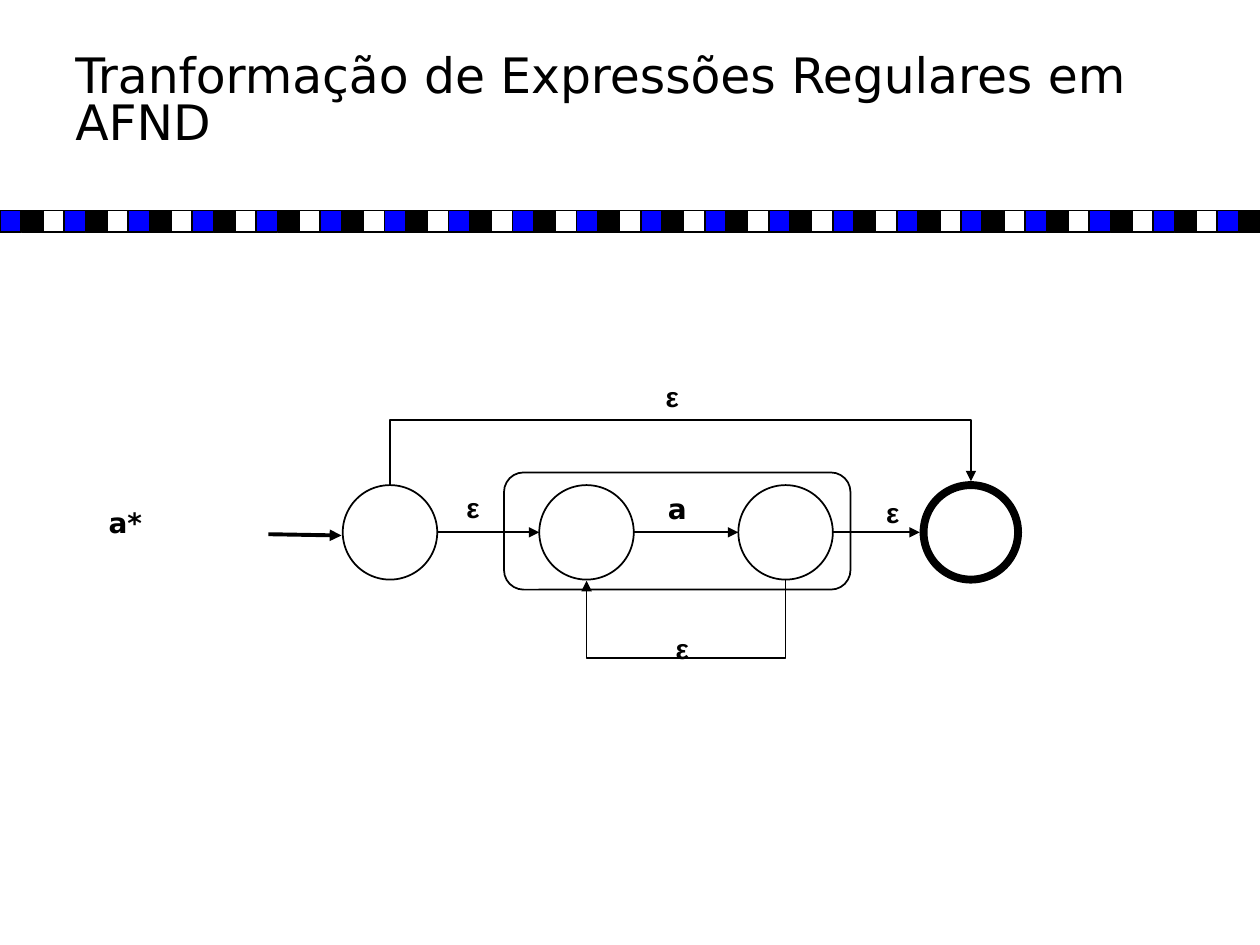
from lxml.etree import SubElement
from pptx import Presentation
from pptx.dml.color import RGBColor
from pptx.enum.shapes import MSO_CONNECTOR as Link, MSO_SHAPE as Shape
from pptx.enum.text import MSO_ANCHOR as Anchor, MSO_AUTO_SIZE as Fit, PP_ALIGN as Align
from pptx.oxml.ns import qn
from pptx.util import Inches, Pt

WIDTH, HEIGHT = 10, 7.5
BLACK, BLUE, WHITE = "000000", "0000FF", "FFFFFF"
SANS, GREEK = "DejaVu Sans", "Arial"

TITLE = "Tranformação de Expressões Regulares em AFND"
BAND_COLOURS, BAND_CELLS, BAND_TOP = (BLUE, BLACK, WHITE), 59, 1.67
STATE_SIZE, STATE_TOP = 0.75, 3.85
AXIS = STATE_TOP + STATE_SIZE / 2
STATES = {"start": (2.72, 1), "before a": (4.28, 1), "after a": (5.86, 1), "final": (7.33, 4.5)}
MOVES = [("start", "before a", 0), ("before a", "after a", 0), ("after a", "final", 0.03)]
LABELS = [
    ("a*", SANS, 0.58, 4, 0.83),
    ("a", SANS, 5.28, 3.89, 0.17),
    ("ε", GREEK, 5.25, 3, 0.17),
    ("ε", GREEK, 3.67, 3.88, 0.17),
    ("ε", GREEK, 7, 3.92, 0.17),
    ("ε", GREEK, 5.33, 5, 0.17),
]


def colour(code):
    return RGBColor.from_string(code)


def add_outline(shapes, preset, box, fill=None, weight=1):
    outline = shapes.add_shape(preset, *map(Inches, box))
    outline.shadow.inherit = False
    if fill:
        outline.fill.solid()
        outline.fill.fore_color.rgb = colour(fill)
    else:
        outline.fill.background()
    outline.line.color.rgb = colour(BLACK)
    outline.line.width = Pt(weight)
    return outline


def add_arrow(shapes, start, end, weight=1, kind=Link.STRAIGHT):
    arrow = shapes.add_connector(kind, *map(Inches, (*start, *end)))
    arrow.line.color.rgb = colour(BLACK)
    arrow.line.width = Pt(weight)
    SubElement(arrow.line._get_or_add_ln(), qn("a:tailEnd"), type="triangle")
    SubElement(arrow._element.spPr, qn("a:effectLst"))
    return arrow


def add_loop(shapes, start, end, bend):
    """Draw a vertical-horizontal-vertical arrow whose middle part lies at height bend."""
    (x1, y1), (x2, y2) = start, end
    run, drop = abs(x2 - x1), abs(y2 - y1)
    mid_x, mid_y = (x1 + x2) / 2, (y1 + y2) / 2
    corner = mid_x - drop / 2, mid_y - run / 2
    opposite = mid_x + drop / 2, mid_y + run / 2
    loop = add_arrow(shapes, corner, opposite, kind=Link.ELBOW)
    frame = loop._element.spPr.find(qn("a:xfrm"))
    frame.set("rot", "5400000")
    if bend < y1:
        frame.set("flipH", "1")
        frame.set("flipV", "1")
    guides = loop._element.spPr.find(qn("a:prstGeom")).find(qn("a:avLst"))
    share = round(abs(bend - y1) / drop * 100000)
    SubElement(guides, qn("a:gd"), name="adj1", fmla=f"val {share}")


def add_text(shapes, words, box, font, size, insets, bold=False):
    text_box = shapes.add_textbox(*map(Inches, box))
    frame = text_box.text_frame
    frame.word_wrap = True
    frame.margin_left = frame.margin_right = Inches(insets[0])
    frame.margin_top = frame.margin_bottom = Inches(insets[1])
    paragraph = frame.paragraphs[0]
    run = paragraph.add_run()
    run.text = words
    run.font.name, run.font.size, run.font.bold = font, Pt(size), bold
    run.font.color.rgb = colour(BLACK)
    return frame, paragraph


def add_band(shapes):
    band = shapes.add_group_shape().shapes
    side = WIDTH / BAND_CELLS
    for cell in range(BAND_CELLS):
        fill = BAND_COLOURS[cell % len(BAND_COLOURS)]
        add_outline(band, Shape.RECTANGLE, (cell * side, BAND_TOP, side, side), fill)


def add_title(shapes):
    frame, paragraph = add_text(shapes, TITLE, (0.5, 0.28, 9.08, 1.08), SANS, 27.9, (0.1, 0.05))
    frame.vertical_anchor = Anchor.MIDDLE
    paragraph.line_spacing = 0.8


def add_automaton(shapes):
    add_outline(shapes, Shape.ROUNDED_RECTANGLE, (4, 3.75, 2.75, 0.93)).adjustments[0] = 0.167
    for left, weight in STATES.values():
        add_outline(shapes, Shape.OVAL, (left, STATE_TOP, STATE_SIZE, STATE_SIZE), weight=weight)
    add_arrow(shapes, (2.13, 4.24), (2.71, 4.25), 2.25)
    for source, target, gap in MOVES:
        add_arrow(shapes, (STATES[source][0] + STATE_SIZE, AXIS), (STATES[target][0] - gap, AXIS))

    centre = {name: left + STATE_SIZE / 2 for name, (left, _) in STATES.items()}
    bottom = STATE_TOP + STATE_SIZE
    add_loop(shapes, (centre["after a"], bottom), (centre["before a"], bottom + 0.01), 5.23)
    add_loop(shapes, (centre["start"], STATE_TOP), (centre["final"], STATE_TOP - 0.03), 3.33)

    for words, font, left, top, width in LABELS:
        frame, paragraph = add_text(
            shapes, words, (left, top, width, 0.29), font, 16, (0.02, 0.01), bold=True)
        frame.auto_size = Fit.SHAPE_TO_FIT_TEXT
        paragraph.alignment = Align.CENTER


def main():
    deck = Presentation()
    deck.slide_width, deck.slide_height = Inches(WIDTH), Inches(HEIGHT)
    shapes = deck.slides.add_slide(deck.slide_layouts[6]).shapes
    add_band(shapes)
    add_title(shapes)
    add_automaton(shapes)
    deck.save("out.pptx")


if __name__ == "__main__":
    main()
